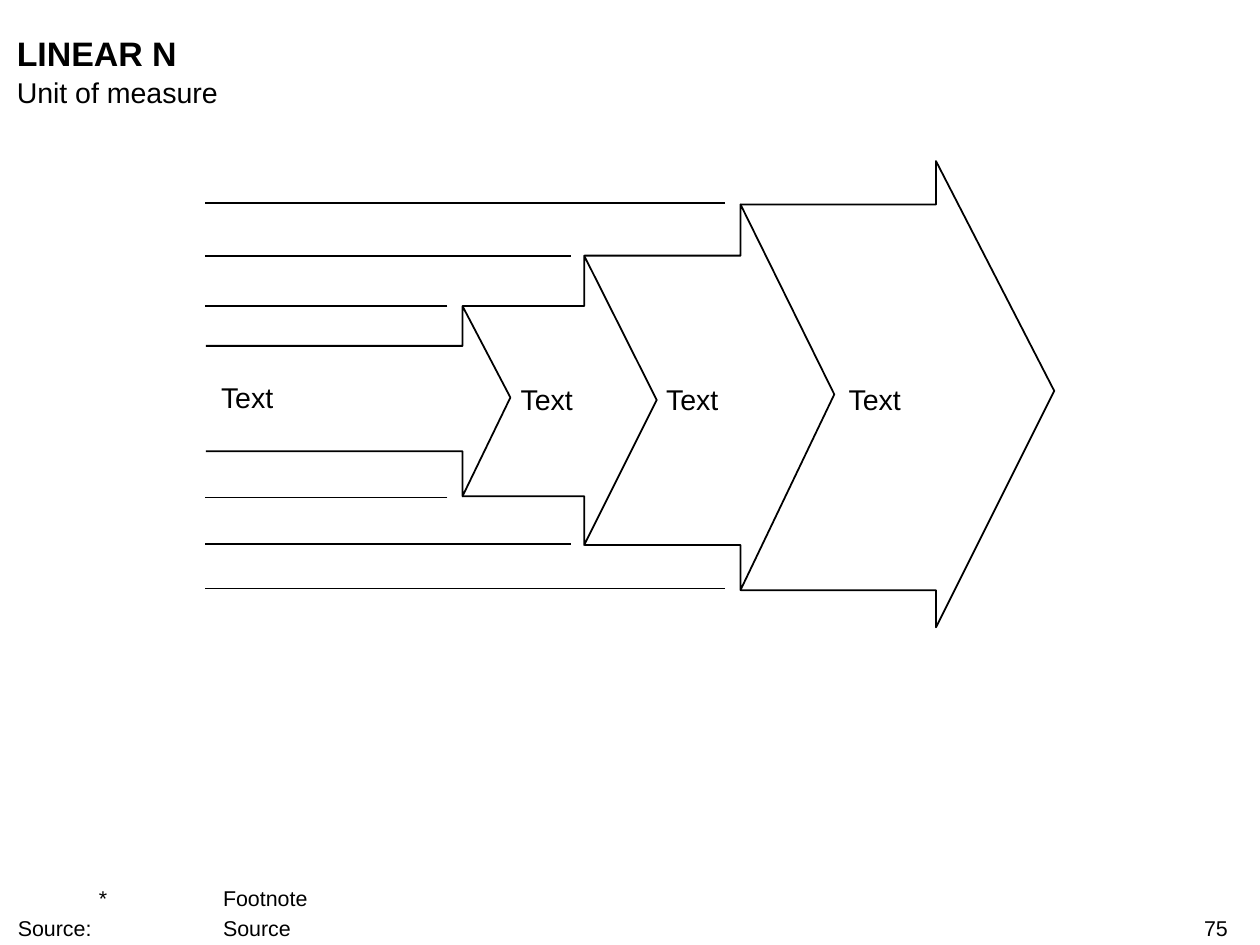
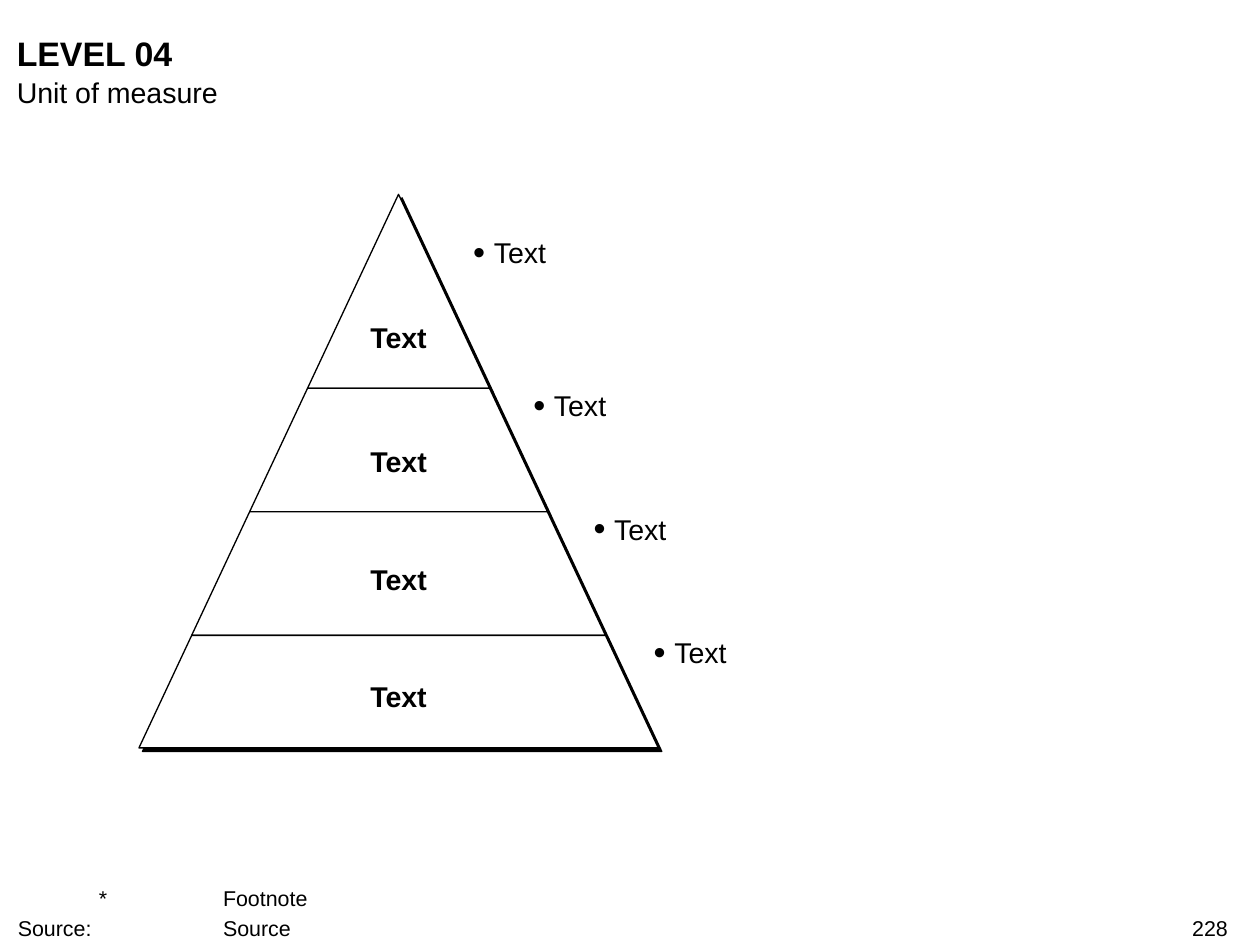
from lxml import etree
from pptx import Presentation
from pptx.dml.color import RGBColor
from pptx.enum.shapes import MSO_CONNECTOR
from pptx.enum.text import MSO_ANCHOR, PP_ALIGN
from pptx.oxml.ns import qn
from pptx.util import Pt

STRAIGHT = MSO_CONNECTOR.STRAIGHT
TOP, MIDDLE, BOTTOM = MSO_ANCHOR.TOP, MSO_ANCHOR.MIDDLE, MSO_ANCHOR.BOTTOM
LEFT, CENTER, RIGHT = PP_ALIGN.LEFT, PP_ALIGN.CENTER, PP_ALIGN.RIGHT

COLORS = {"ink": "000000", "paper": "FFFFFF"}
FONT = "Arial"
LINE_HEIGHT = 19.4

ARROW_STEPS = [
    (115.3, 193.7, 252.7),
    (259, 171.4, 277.9),
    (327.2, 143.2, 305.2),
    (414.7, 114.5, 330.5),
    (524.2, 90.2, 351.3),
]
ARROW_TIPS = [(285.8, 222.6), (367.8, 224), (467.2, 220.9), (590.4, 218.9)]
ARROW_LABELS = [(123.8, 212.6, 132.5), (291.6, 213.6, 64.8), (373, 213.6, 80), (475.2, 213.6, 102.2)]
RAILS = [
    (406.1, 113.8), (319.7, 143.2), (250.6, 171.4),
    (250.6, 278.6), (319.7, 304.6), (406.1, 329.6),
]

APEX_X = 223.2
LEVEL_EDGES = [108.8, 217.4, 286.6, 355.8, 418.8]
PYRAMID_SLOPE = 145.4 / (LEVEL_EDGES[-1] - LEVEL_EDGES[0])
LABEL_TOPS = [178.8, 248.4, 314.8, 380.3]
BULLET_TOPS = [131.8, *LEVEL_EDGES[1:4]]
BULLET_LEFT, BULLET_STEP = 265, 33.7


def color(name):
    return RGBColor.from_string(COLORS[name])


def set_font(para, size, bold=False):
    para.font.name = FONT
    para.font.size = Pt(size)
    para.font.bold = bold
    para.font.color.rgb = color("ink")


def add_text(page, text, left, top, width, height=LINE_HEIGHT, size=16, bold=False, align=LEFT, anchor=TOP):
    box = page.shapes.add_textbox(Pt(left), Pt(top), Pt(width), Pt(height))
    frame = box.text_frame
    frame.word_wrap = True
    frame.vertical_anchor = anchor
    frame.margin_left = frame.margin_top = frame.margin_right = frame.margin_bottom = 0
    frame.text = text
    for para in frame.paragraphs:
        para.alignment = align
        set_font(para, size, bold)
    return frame


def set_hanging(para, indent):
    properties = para._p.get_or_add_pPr()
    properties.set("marL", str(Pt(indent)))
    properties.set("indent", str(-Pt(indent)))
    return properties


def add_bullet(page, text, left, top):
    para = add_text(page, "", left, top, 295).paragraphs[0]
    properties = set_hanging(para, 11.5)
    etree.SubElement(properties, qn("a:buSzPct"), val="120000")
    etree.SubElement(properties, qn("a:buFont"), typeface=FONT)
    etree.SubElement(properties, qn("a:buChar"), char="•")
    para.text = text
    set_font(para, 16)


def add_footer(page):
    frame = add_text(page, "", 10, 495.4, 643, 31.6, anchor=BOTTOM)
    for index, text in enumerate(["\t*\tFootnote", "Source:\t\tSource"]):
        para = frame.add_paragraph() if index else frame.paragraphs[0]
        properties = set_hanging(para, 45.4)
        properties.set("defTabSz", str(Pt(69.5)))
        tabs = etree.SubElement(properties, qn("a:tabLst"))
        etree.SubElement(tabs, qn("a:tab"), pos=str(Pt(41.8)), algn="r")
        para.text = text
        set_font(para, 12)
        if index:
            para.space_before = Pt(2.4)


def add_outline(page, points, weight, closed=False):
    corners = [(Pt(x), Pt(y)) for x, y in points]
    builder = page.shapes.build_freeform(*corners[0])
    builder.add_line_segments(corners[1:], close=closed)
    shape = builder.convert_to_shape()
    shape.fill.solid()
    shape.fill.fore_color.rgb = color("paper")
    shape.line.color.rgb = color("ink")
    shape.line.width = Pt(weight)
    shape.shadow.inherit = False
    return shape


def add_hard_shadow(shape):
    effects = shape._element.spPr.find(qn("a:effectLst"))
    shadow = etree.SubElement(
        effects, qn("a:outerShdw"), blurRad="0", dist=str(Pt(2.8)),
        dir="2700000", algn="ctr", rotWithShape="0",
    )
    etree.SubElement(shadow, qn("a:srgbClr"), val=COLORS["ink"])


def add_rail(page, end, y):
    rail = page.shapes.add_connector(STRAIGHT, Pt(end), Pt(y), Pt(114.6), Pt(y))
    rail.line.color.rgb = color("ink")
    rail.line.width = Pt(1)
    etree.SubElement(rail._element.spPr, qn("a:effectLst"))


def add_arrow(page, shaft, head, tip):
    left, shaft_top, shaft_bottom = shaft
    neck, head_top, head_bottom = head
    points = [
        (left, shaft_top), (neck, shaft_top), (neck, head_top), tip,
        (neck, head_bottom), (neck, shaft_bottom), (left, shaft_bottom),
    ]
    add_outline(page, points, 1)


def add_level(page, top, bottom):
    upper, lower = [(y - LEVEL_EDGES[0]) * PYRAMID_SLOPE for y in (top, bottom)]
    points = [(APEX_X - lower, bottom), (APEX_X + lower, bottom), (APEX_X + upper, top)]
    if upper:
        points.append((APEX_X - upper, top))
    add_hard_shadow(add_outline(page, points, 0.75, closed=True))


def add_page(deck, title, number):
    page = deck.slides.add_slide(deck.slide_layouts[6])
    add_text(page, title, 9.4, 18, 679, 23, size=19, bold=True)
    add_text(page, "Unit of measure", 9.4, 41.8, 679)
    add_footer(page)
    add_text(page, number, 540.7, 512.6, 146.9, 14.4, size=12, align=RIGHT)
    return page


def build_linear(deck):
    page = add_page(deck, "LINEAR N", "75")
    arrows = list(zip(ARROW_STEPS, ARROW_STEPS[1:], ARROW_TIPS))
    for shaft, head, tip in reversed(arrows):
        add_arrow(page, shaft, head, tip)
    for end, y in RAILS:
        add_rail(page, end, y)
    for left, top, width in ARROW_LABELS:
        add_text(page, "Text", left, top, width, anchor=MIDDLE)


def build_pyramid(deck):
    page = add_page(deck, "LEVEL 04", "228")
    for top, bottom in zip(LEVEL_EDGES, LEVEL_EDGES[1:]):
        add_level(page, top, bottom)
    for index, (label_top, bullet_top) in enumerate(zip(LABEL_TOPS, BULLET_TOPS)):
        width = 58 + 62 * index
        add_text(page, "Text", APEX_X - width / 2, label_top, width, bold=True, align=CENTER, anchor=MIDDLE)
        add_bullet(page, "Text", BULLET_LEFT + BULLET_STEP * index, bullet_top)


def main():
    deck = Presentation()
    deck.slide_width, deck.slide_height = Pt(705.6), Pt(529.2)
    build_linear(deck)
    build_pyramid(deck)
    deck.save("out.pptx")


if __name__ == "__main__":
    main()
